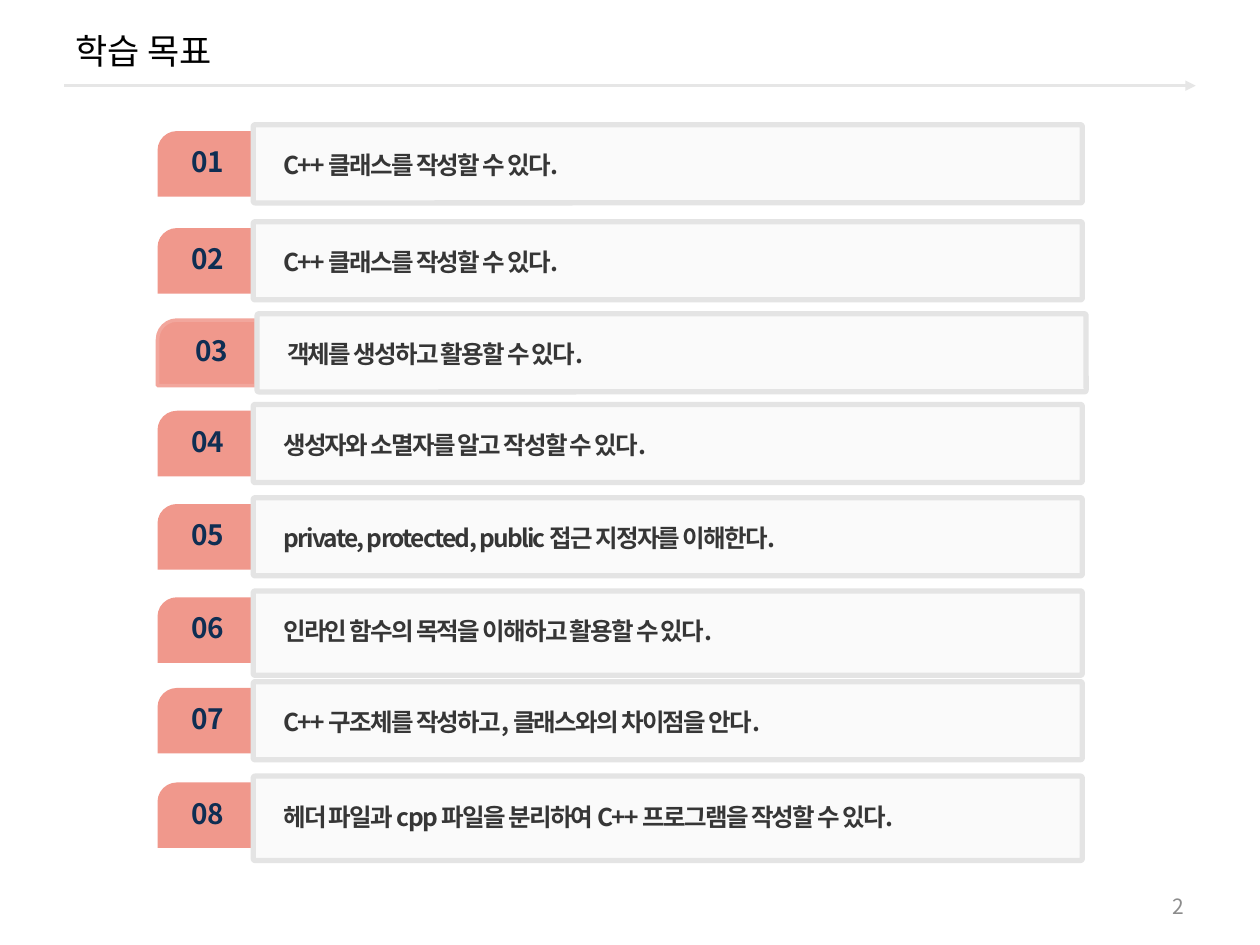
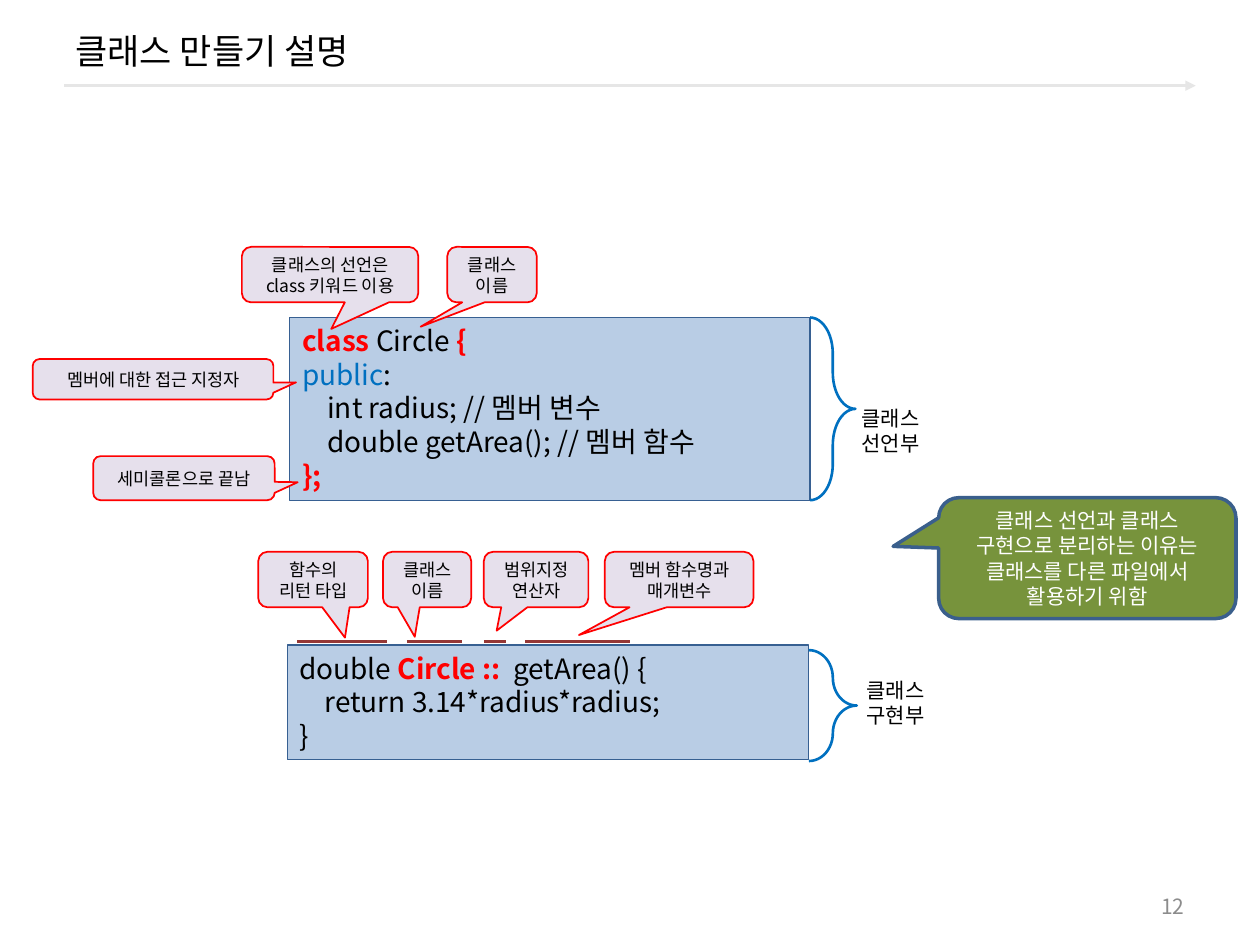
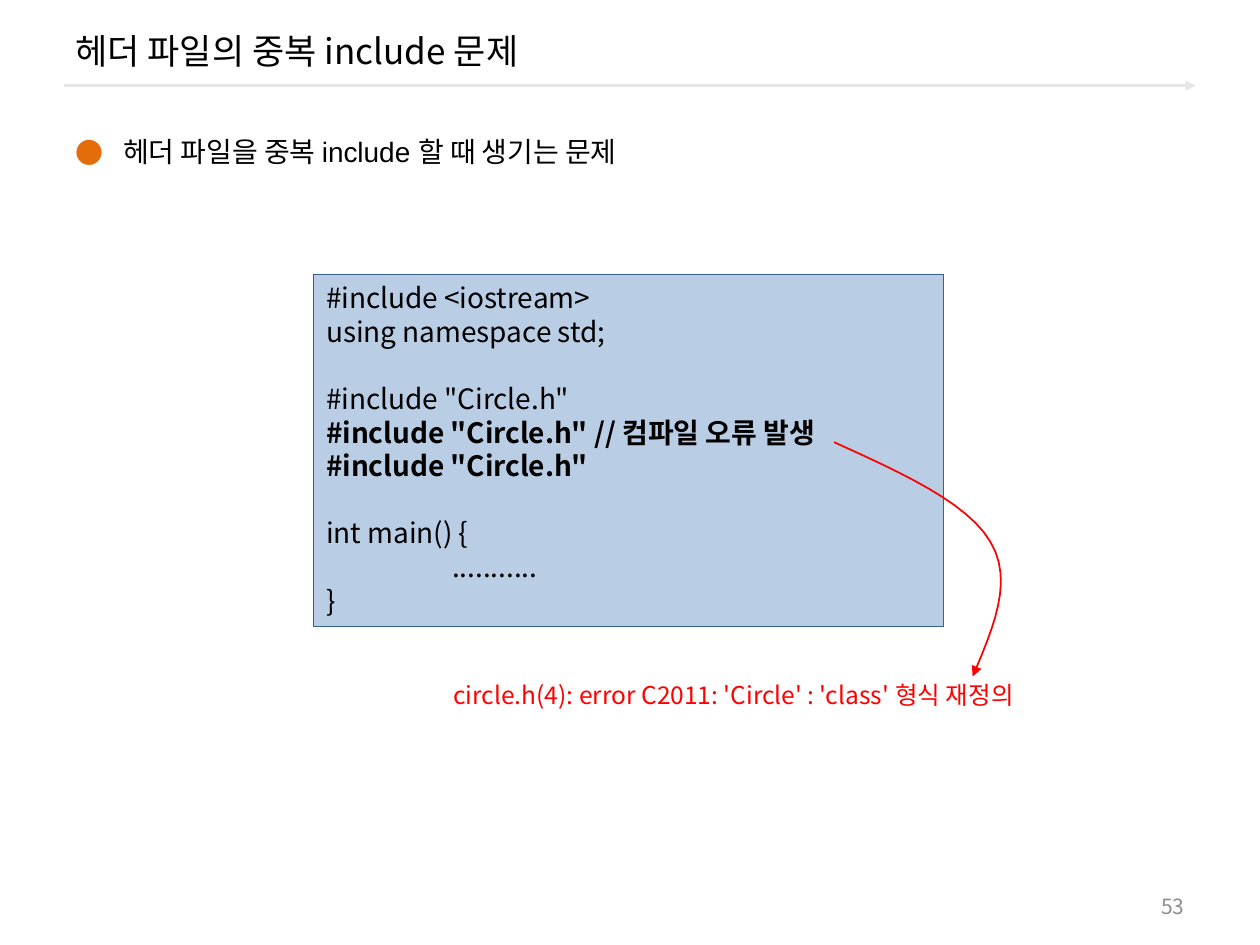
from lxml import etree
from pptx import Presentation
from pptx.dml.color import RGBColor
from pptx.enum.shapes import MSO_CONNECTOR, MSO_SHAPE
from pptx.enum.text import MSO_ANCHOR, PP_ALIGN
from pptx.oxml.ns import qn
from pptx.util import Inches, Pt

SNIP_ROUND = MSO_SHAPE.SNIP_ROUND_RECTANGLE
ROUND_RECT = MSO_SHAPE.ROUNDED_RECTANGLE
RECT = MSO_SHAPE.RECTANGLE
CALLOUT = MSO_SHAPE.ROUNDED_RECTANGULAR_CALLOUT
BRACE = MSO_SHAPE.RIGHT_BRACE
STRAIGHT = MSO_CONNECTOR.STRAIGHT
TOP, MIDDLE = MSO_ANCHOR.TOP, MSO_ANCHOR.MIDDLE
LEFT, CENTER, RIGHT = PP_ALIGN.LEFT, PP_ALIGN.CENTER, PP_ALIGN.RIGHT

FONT = "Noto Sans CJK KR"
LATIN_FONT = "Arial"

BLACK = RGBColor(0x00, 0x00, 0x00)
WHITE = RGBColor(0xFF, 0xFF, 0xFF)
RED = RGBColor(0xFF, 0x00, 0x00)
BLUE = RGBColor(0x00, 0x70, 0xC0)
RULE_GRAY = RGBColor(0xE6, 0xE6, 0xE6)
PAGE_GRAY = RGBColor(0x8C, 0x8C, 0x8C)
SALMON = RGBColor(0xF0, 0x98, 0x8C)
SALMON_EDGE = RGBColor(0xF2, 0xA6, 0x9C)
NAVY = RGBColor(0x0F, 0x2E, 0x53)
CHARCOAL = RGBColor(0x36, 0x36, 0x36)
PANEL = RGBColor(0xF2, 0xF2, 0xF2)
PANEL_EDGE = RGBColor(0xE4, 0xE4, 0xE4)
CODE_FILL = RGBColor(0xB9, 0xCD, 0xE5)
CODE_EDGE = RGBColor(0x37, 0x60, 0x92)
LILAC = RGBColor(0xE6, 0xE0, 0xEC)
MAROON = RGBColor(0x95, 0x37, 0x35)
GREEN = RGBColor(0x77, 0x93, 0x3C)
GREEN_EDGE = RGBColor(0x3A, 0x5F, 0x8C)
BULLET_ORANGE = RGBColor(0xE4, 0x6C, 0x0A)

CODE_LINE = 19.2  # height of one line of code, in points

GOALS = [  # left, top and height of the panel, then its text
    (2.01, 0.99, 0.62, "C++ 클래스를 작성할 수 있다."),
    (2.01, 1.76, 0.62, "C++ 클래스를 작성할 수 있다."),
    (2.04, 2.49, 0.62, "객체를 생성하고 활용할 수 있다."),
    (2.01, 3.21, 0.62, "생성자와 소멸자를 알고 작성할 수 있다."),
    (2.01, 3.95, 0.62, "private, protected, public 접근 지정자를 이해한다."),
    (2.01, 4.69, 0.67, "인라인 함수의 목적을 이해하고 활용할 수 있다."),
    (2.01, 5.41, 0.62, "C++ 구조체를 작성하고, 클래스와의 차이점을 안다."),
    (2.01, 6.16, 0.67, "헤더 파일과 cpp 파일을 분리하여 C++ 프로그램을 작성할 수 있다."),
]
EDGED_GOAL = 3

CALLOUTS = [  # box, position of the tip, lines
    ((2.05, 4.38, 0.87, 0.44), (0.291, 1.048), ["함수의 리턴 타입"]),
    ((3.04, 4.38, 0.70, 0.44), (-0.14, 1.032), ["클래스", "이름"]),
    ((3.84, 4.38, 0.83, 0.44), (-0.377, 0.922), ["범위지정연산자"]),
    ((4.80, 4.38, 1.18, 0.44), (-0.674, 1), ["멤버 함수명과 매개변수"]),
    ((0.74, 3.62, 1.44, 0.35), (0.627, 0.092), ["세미콜론으로 끝남"]),
    ((1.92, 1.96, 1.40, 0.44), (0.007, 0.979), ["클래스의 선언은 class 키워드 이용"]),
    ((3.55, 1.96, 0.71, 0.44), (-0.798, 0.94), ["클래스 이름"]),
    ((0.26, 2.85, 1.91, 0.32), (0.594, 0.078), ["멤버에 대한 접근 지정자"]),
]
UNDERLINES = [(2.36, 3.07), (3.23, 3.67), (3.84, 4.02), (4.17, 5.00)]

KEYWORD = {"color": RED, "bold": True}
DECLARATION = [
    [("class", KEYWORD), " Circle ", ("{", KEYWORD)],
    [("public", {"color": BLUE}), ":"],
    "\tint radius; // 멤버 변수",
    "\tdouble getArea(); // 멤버 함수",
    [("};", KEYWORD)],
]
IMPLEMENTATION = [
    ["double ", ("Circle ::  ", KEYWORD), "getArea() {"],
    "\treturn 3.14*radius*radius;",
    "}",
]
BOLD = {"bold": True}
INCLUDES = [
    "#include <iostream>",
    "using namespace std;",
    '#include "Circle.h"',
    [('#include "Circle.h" // 컴파일 오류 발생', BOLD)],
    [('#include "Circle.h"', BOLD)],
    "int main() {",
    "\t...........",
    "}",
]
ERROR_CURVES = [
    ((6.62, 3.51), (7.15, 3.75), (7.68, 3.99), (7.86, 4.30)),
    ((7.86, 4.30), (8.05, 4.61), (7.88, 4.99), (7.72, 5.37)),
]


def inches(values):
    return [Inches(value) for value in values]


def format_span(span, size, color, bold=False, font=FONT, spacing=0):
    span.font.size = Pt(size)
    span.font.bold = bold
    span.font.color.rgb = color
    span.font.name = font
    properties = span.font._element
    etree.SubElement(properties, qn("a:ea"), typeface=FONT)
    if spacing:
        properties.set("spc", str(spacing))


def write(shape, lines, size=16, color=BLACK, align=LEFT, anchor=TOP, wrap=True,
          line_spacing=None, gaps=(), tab=None, **style):
    """Fill a shape with lines; a line is a string or a list of spans.

    gaps lists the lines that have one line of space before them.
    """
    frame = shape.text_frame
    frame.word_wrap = wrap
    frame.vertical_anchor = anchor
    for number, line in enumerate(lines):
        para = frame.add_paragraph() if number else frame.paragraphs[0]
        para.alignment = align
        if line_spacing:
            para.line_spacing = line_spacing
        if number in gaps:
            para.space_before = Pt(CODE_LINE)
        if tab:
            stops = etree.SubElement(para._p.get_or_add_pPr(), qn("a:tabLst"))
            etree.SubElement(stops, qn("a:tab"), pos=str(Inches(tab)), algn="l")
        for part in [line] if isinstance(line, str) else line:
            text, changes = (part, {}) if isinstance(part, str) else part
            span = para.add_run()
            span.text = text
            format_span(span, **{"size": size, "color": color, **style, **changes})


def add_text(page, box, lines, **style):
    shape = page.shapes.add_textbox(*inches(box))
    write(shape, lines, **style)
    return shape


def add_block(page, kind, box, fill=None, edge=None, width=1, adjust=()):
    shape = page.shapes.add_shape(kind, *inches(box))
    shape.shadow.inherit = False
    for index, value in enumerate(adjust):
        shape.adjustments[index] = value
    paint(shape, fill, edge, width)
    return shape


def paint(shape, fill, edge, width):
    if fill is None:
        shape.fill.background()
    else:
        shape.fill.solid()
        shape.fill.fore_color.rgb = fill
    if edge is None:
        shape.line.fill.background()
    else:
        shape.line.color.rgb = edge
        shape.line.width = Pt(width)


def add_line(page, start, end, color):
    line = page.shapes.add_connector(STRAIGHT, *inches(start + end))
    line.line.color.rgb = color
    line.line.width = Pt(1.5)
    etree.SubElement(line._element.spPr, qn("a:effectLst"))
    return line


def add_arrowhead(shape):
    etree.SubElement(shape.line._get_or_add_ln(), qn("a:tailEnd"), type="triangle")


def add_page(deck, title, number):
    """Add a slide with the shared title, rule and page number."""
    page = deck.slides.add_slide(deck.slide_layouts[6])
    add_arrowhead(add_line(page, (0.51, 0.68), (9.49, 0.68), RULE_GRAY))
    add_text(page, (0.5, 0.08, 9, 0.64), [title], size=20, anchor=MIDDLE)
    add_text(page, (7.17, 7.03, 2.33, 0.32), [str(number)], size=12,
             color=PAGE_GRAY, align=RIGHT, anchor=MIDDLE)
    return page


def add_goal(page, number, left, top, height, text):
    edge = SALMON_EDGE if number == EDGED_GOAL else None
    add_block(page, SNIP_ROUND, (1.25, top + 0.05, 0.78, 0.52), SALMON, edge, 2,
              adjust=(0.296, 0))
    add_text(page, (left - 0.59, top + 0.11, 0.46, 0.37), [f"{number:02}"],
             color=NAVY, bold=True, align=CENTER, wrap=False)
    panel = add_block(page, ROUND_RECT, (left, top, 6.58, height), PANEL,
                      PANEL_EDGE, 3, adjust=(0.023,))
    fill_color = panel._element.spPr.find(qn("a:solidFill"))[0]
    etree.SubElement(fill_color, qn("a:alpha"), val="33000")
    add_text(page, (left + 0.14, top + 0.13, 6.23, 0.34), [text], size=14,
             color=CHARCOAL, bold=True, spacing=-100, line_spacing=1.1)


def add_code(page, box, lines, **style):
    write(add_block(page, RECT, box, CODE_FILL, CODE_EDGE, 0.75), lines, **style)


def add_callout(page, box, tip, lines, fill=LILAC, edge=RED, width=1, **style):
    shape = add_block(page, CALLOUT, box, fill, edge, width, adjust=(*tip, 0.167))
    write(shape, lines, align=CENTER, anchor=MIDDLE, **style)


def add_brace(page, box, bend, label_spot, lines):
    add_block(page, BRACE, box, edge=BLUE, width=1.5, adjust=(bend, 0.5))
    add_text(page, (*label_spot, 0.71, 0.5), lines, size=12, wrap=False)


def curve_points(curve, steps=12):
    """Yield points along a cubic curve, without its start."""
    for step in range(1, steps + 1):
        t = step / steps
        weights = ((1 - t) ** 3, 3 * t * (1 - t) ** 2, 3 * t ** 2 * (1 - t), t ** 3)
        yield tuple(sum(weight * point[axis] for weight, point in zip(weights, curve))
                    for axis in (0, 1))


def add_curved_arrow(page, curves, color):
    builder = page.shapes.build_freeform(*inches(curves[0][0]))
    points = [inches(point) for curve in curves for point in curve_points(curve)]
    builder.add_line_segments(points, close=False)
    arrow = builder.convert_to_shape()
    arrow.shadow.inherit = False
    paint(arrow, None, color, 1)
    add_arrowhead(arrow)


def add_bullet_text(page, box, text):
    shape = page.shapes.add_textbox(*inches(box))
    properties = shape.text_frame.paragraphs[0]._p.get_or_add_pPr()
    properties.set("marL", str(Inches(0.38)))
    properties.set("indent", str(-Inches(0.38)))
    bullet_color = etree.SubElement(properties, qn("a:buClr"))
    etree.SubElement(bullet_color, qn("a:srgbClr"), val=str(BULLET_ORANGE))
    etree.SubElement(properties, qn("a:buFont"), typeface=FONT)
    etree.SubElement(properties, qn("a:buChar"), char="●")
    write(shape, [text], font=LATIN_FONT)


def build_goals(deck):
    page = add_page(deck, "학습 목표", 2)
    for number, goal in enumerate(GOALS, 1):
        add_goal(page, number, *goal)


def build_class_parts(deck):
    page = add_page(deck, "클래스 만들기 설명", 12)
    add_code(page, (2.28, 5.12, 4.14, 0.91), IMPLEMENTATION, tab=0.2)
    add_code(page, (2.3, 2.52, 4.13, 1.45), DECLARATION, tab=0.2)
    for start, end in UNDERLINES:
        add_line(page, (start, 5.09), (end, 5.09), MAROON)
    for box, tip, lines in CALLOUTS:
        add_callout(page, box, tip, lines, size=10)
    add_callout(page, (7.45, 3.95, 2.36, 0.96), (-0.653, -0.097),
                ["클래스 선언과 클래스 구현으로 분리하는 이유는 클래스를 다른 파일에서 활용하기 위함"],
                fill=GREEN, edge=GREEN_EDGE, width=2, size=12, color=WHITE)
    add_brace(page, (6.43, 2.52, 0.36, 1.45), 0.797, (6.74, 3.17), ["클래스", "선언부"])
    add_brace(page, (6.42, 5.16, 0.38, 0.88), 0.712, (6.78, 5.33), ["클래스", "구현부"])


def build_include_problem(deck):
    page = add_page(deck, "헤더 파일의 중복 include 문제", 53)
    add_bullet_text(page, (0.5, 1.02, 9, 6.02), "헤더 파일을 중복 include 할 때 생기는 문제")
    add_code(page, (2.49, 2.18, 5, 2.79), INCLUDES, gaps=(2, 5), tab=1)
    add_text(page, (3.5, 5.35, 5.43, 0.34),
             ["circle.h(4): error C2011: 'Circle' : 'class' 형식 재정의"], size=14, color=RED)
    add_curved_arrow(page, ERROR_CURVES, RED)


def main():
    deck = Presentation()
    deck.slide_width, deck.slide_height = inches((10, 7.5))
    build_goals(deck)
    build_class_parts(deck)
    build_include_problem(deck)
    deck.save("out.pptx")


if __name__ == "__main__":
    main()
